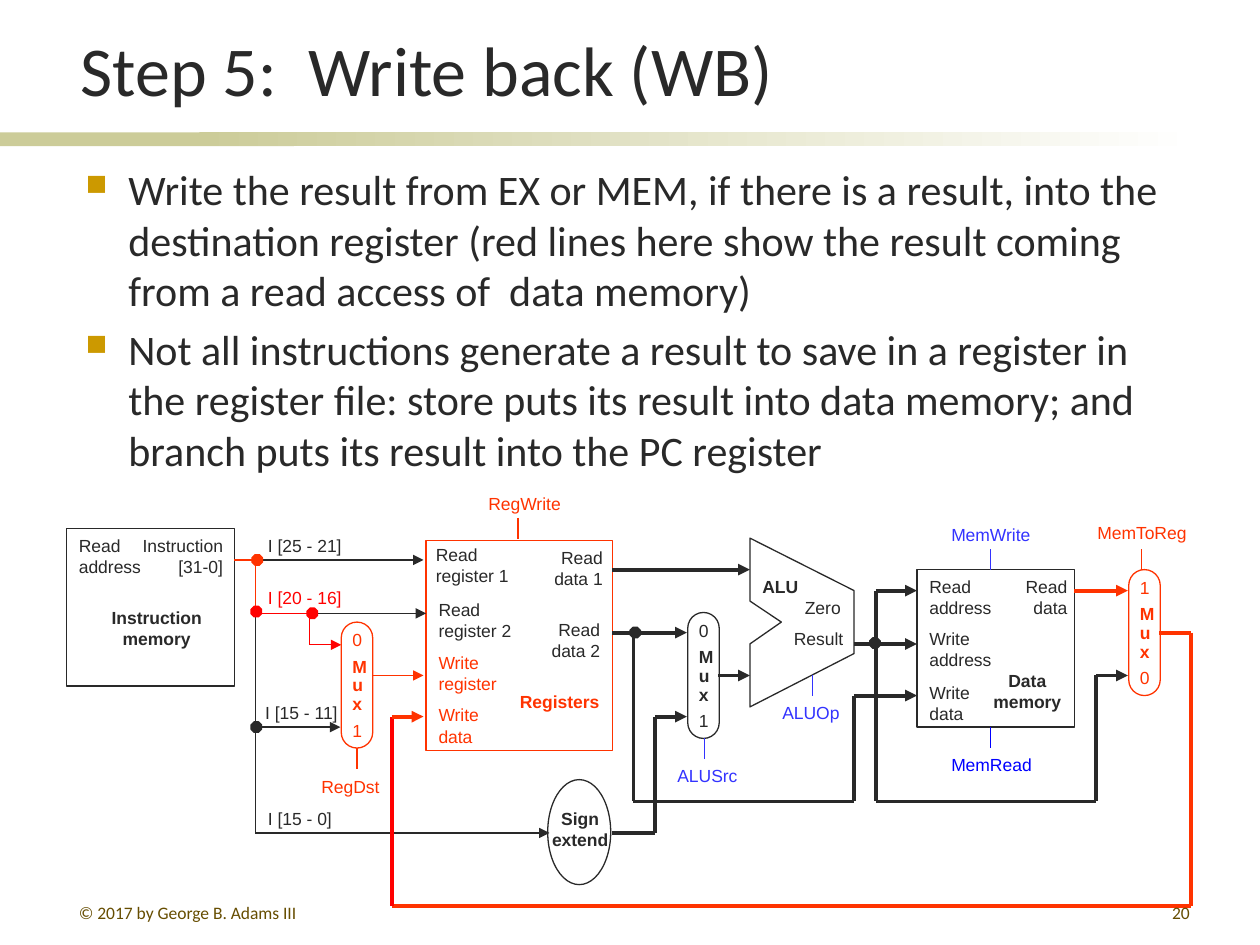
import itertools
import pptx
import pptx.dml.color
import pptx.enum.dml
import pptx.enum.shapes
import pptx.enum.text
import pptx.oxml.ns
import pptx.util
from lxml import etree

Pt = pptx.util.Pt
FORM = pptx.enum.shapes.MSO_SHAPE
SIDE = pptx.enum.text.PP_ALIGN
FIT = pptx.enum.text.MSO_AUTO_SIZE
ANCHOR = pptx.enum.text.MSO_ANCHOR
qn = pptx.oxml.ns.qn

COLORS = {"ink": "292929", "red": "FF3300", "hot": "FF0000", "blue": "3333FF",
          "deep": "0000FF", "sand": "CCCC99", "white": "FFFFFF",
          "gold": "CC9900", "brown": "664D00"}
FONTS = {
    "title": {"name": "Calibri", "size": Pt(40), "bold": False},
    "body": {"name": "Calibri", "size": Pt(24), "bold": False},
    "foot": {"name": "Calibri", "size": Pt(10), "bold": False},
    "label": {"name": "Arial", "size": Pt(10), "bold": False},
    "strong": {"name": "Arial", "size": Pt(10), "bold": True},
}
THIN, THICK = 0.75, 2.25


def shade(name):
    return pptx.dml.color.RGBColor.from_string(COLORS[name])


class Board:
    def __init__(self, deck):
        self.slide = deck.slides.add_slide(deck.slide_layouts[5])
        self.shapes = self.slide.shapes

    def format(self, thing, values):
        for key, value in values.items():
            setattr(thing, key, value)

    def letter(self, para, words, font, color):
        run = para.add_run()
        run.text = words
        self.format(run.font, FONTS[font])
        run.font.color.rgb = shade(color)

    def title(self, words, left, top, width, height):
        shape = self.shapes.title
        self.format(shape, {"left": Pt(left), "top": Pt(top),
                            "width": Pt(width), "height": Pt(height)})
        frame = shape.text_frame
        self.format(frame, {"word_wrap": True, "auto_size": FIT.NONE,
                            "vertical_anchor": ANCHOR.BOTTOM})
        para = frame.paragraphs[0]
        para.alignment = SIDE.LEFT
        self.letter(para, words, "title", "ink")

    def text(self, lines, left, top, width, color="ink", font="label",
             side=SIDE.LEFT, wrap=False, height=None):
        tall = height or 7.2 + 12 * len(lines)
        box = self.shapes.add_textbox(Pt(left), Pt(top), Pt(width), Pt(tall))
        frame = box.text_frame
        self.format(frame, {"word_wrap": wrap,
                            "auto_size": FIT.NONE if wrap else FIT.SHAPE_TO_FIT_TEXT})
        for num, line in enumerate(lines):
            para = frame.add_paragraph() if num else frame.paragraphs[0]
            para.alignment = side
            self.letter(para, line, font, color)
        return frame.paragraphs

    def body(self, lines, left, top, width, height):
        for para in self.text(lines, left, top, width, font="body",
                              wrap=True, height=height):
            para.space_before = Pt(4.8)
            props = para._p.get_or_add_pPr()
            props.set("marL", str(Pt(24.5)))
            props.set("indent", str(Pt(-24.5)))
            tint = etree.SubElement(props, qn("a:buClr"))
            etree.SubElement(tint, qn("a:srgbClr"), val=COLORS["gold"])
            etree.SubElement(props, qn("a:buSzPct"), val="70000")
            etree.SubElement(props, qn("a:buChar"), char="■")

    def box(self, form, left, top, width, height, line="ink", fill=None):
        shape = self.shapes.add_shape(form, Pt(left), Pt(top), Pt(width), Pt(height))
        self.paint(shape, line, fill)
        return shape

    def paint(self, shape, line, fill=None):
        shape.shadow.inherit = False
        if fill:
            shape.fill.solid()
            shape.fill.fore_color.rgb = shade(fill)
        else:
            shape.fill.background()
        if line:
            shape.line.color.rgb = shade(line)
            shape.line.width = Pt(THIN)
        else:
            shape.line.fill.background()

    def fade(self, left, top, width, height, start, end):
        fill = self.box(FORM.RECTANGLE, left, top, width, height, None).fill
        fill.gradient()
        fill.gradient_angle = 0
        for stop, tint, place in zip(fill.gradient_stops, (start, end), (0, 1)):
            stop.color.rgb = shade(tint)
            stop.position = place

    def outline(self, points, color="ink"):
        spots = [(Pt(x), Pt(y)) for x, y in points]
        build = self.shapes.build_freeform(*spots[0])
        build.add_line_segments(spots[1:], close=True)
        self.paint(build.convert_to_shape(), color)

    def wire(self, points, color="ink", weight=THIN, arrow=True):
        for start, end in itertools.pairwise(points):
            link = self.shapes.add_connector(
                pptx.enum.shapes.MSO_CONNECTOR.STRAIGHT,
                *(Pt(value) for value in start + end))
            link.line.color.rgb = shade(color)
            link.line.width = Pt(weight)
            props = link.element.spPr
            if arrow and end == points[-1]:
                etree.SubElement(props.find(qn("a:ln")), qn("a:tailEnd"), type="triangle")
            etree.SubElement(props, qn("a:effectLst"))

    def dot(self, x, y, color):
        self.box(FORM.OCTAGON, x - 3, y - 3, 6, 6, color, color)

    def mux(self, left, top, first, last, color):
        shape = self.box(FORM.ROUNDED_RECTANGLE, left, top, 18, 72, color)
        shape.adjustments[0] = 0.5
        paras = self.text([first, "M", "u", "x", last], left - 0.7, top + 0.6, 24, color)
        for para in paras[1:4]:
            para.runs[0].font.bold = True
        for para in (paras[1], paras[4]):
            para.space_before = Pt(3)
        for para in paras[2:4]:
            para.line_spacing = 0.9

    def tag(self, word, x, y, left, top, width, color):
        self.wire([(x, y), (x, y + 12)], color, arrow=False)
        self.text([word], left, top, width, color)


def main():
    deck = pptx.Presentation()
    deck.slide_width, deck.slide_height = Pt(720), Pt(540)
    board = Board(deck)

    board.box(FORM.RECTANGLE, 0, 75.6, 168, 8, None, "sand")
    board.fade(114, 75.6, 570, 8, "sand", "white")
    board.title("Step 5:  Write back (WB)", 39, 17.3, 648, 49.7)
    board.body([
        "Write the result from EX or MEM, if there is a result, into the destination "
        "register (red lines here show the result coming from a read access of  data memory)",
        "Not all instructions generate a result to save in a register in the register file: "
        "store puts its result into data memory; and branch puts its result into the PC register",
    ], 41.8, 90, 648, 356)

    board.box(FORM.RECTANGLE, 38, 302, 96, 90)
    board.box(FORM.RECTANGLE, 243.5, 309, 106.5, 120, "red")
    board.box(FORM.RECTANGLE, 524, 325.5, 90, 90)
    board.box(FORM.OVAL, 313, 445.5, 36, 60)
    board.outline([(428.5, 307.5), (488, 337.5), (488, 373.5), (428.5, 404),
                   (428.5, 368), (446.5, 355.5), (428.5, 343.5)])

    for points in (
        [(146, 320), (242, 320)],
        [(178, 350.5), (243.5, 350.5)],
        [(146, 415.5), (194.5, 415.5)],
        [(146, 350), (146, 476), (314, 476)],
    ):
        board.wire(points)
    for points in (
        [(350, 325.5), (428.5, 325.5)],
        [(350, 361.5), (392.5, 361.5)],
        [(410.5, 386), (428.5, 386)],
        [(350, 476), (374.5, 476), (374.5, 409.5), (392.5, 409.5)],
        [(362, 361.5), (362, 458), (488, 458), (488, 397.5), (524, 397.5)],
        [(488, 368), (524, 368)],
        [(500.5, 368), (500.5, 337.5), (524, 337.5)],
        [(500.5, 368), (500.5, 458), (626.5, 458), (626.5, 386), (644.5, 386)],
    ):
        board.wire(points, weight=THICK)
    board.wire([(134, 320), (146, 320), (146, 350)], "red", arrow=False)
    board.wire([(147, 350.5), (179, 350.5)], "hot", arrow=False)
    board.wire([(177, 350.5), (177, 368.5), (195, 368.5)], "hot")
    board.wire([(212.5, 386), (242, 386)], "red")
    board.wire([(614, 337.5), (644.5, 337.5)], "red", THICK)
    board.wire([(662.5, 361.5), (680.5, 361.5), (680.5, 517.5), (224, 517.5)],
               "red", THICK, False)
    board.wire([(224, 517.5), (224, 409.5)], "hot", THICK, False)
    board.wire([(224, 409.5), (242, 409.5)], "red", THICK)

    for spot in ((147, 320, "red"), (146.5, 349.5, "hot"), (178.5, 350.5, "hot"),
                 (146.5, 415.5, "ink"), (363, 361.5, "ink"), (500, 367.5, "ink")):
        board.dot(*spot)
    for switch in ((195, 355.5, "0", "1", "red"), (393, 350, "0", "1", "ink"),
                   (645, 325.5, "1", "0", "red")):
        board.mux(*switch)
    for tag in (
        ("RegWrite", 296, 296, 272, 278, 56, "red"),
        ("RegDst", 204, 427.5, 176.5, 440, 49, "red"),
        ("ALUSrc", 402.5, 422, 380, 433.5, 50, "blue"),
        ("ALUOp", 464.5, 386, 440, 397.5, 47.5, "blue"),
        ("MemWrite", 566, 314, 536.5, 296, 60.5, "blue"),
        ("MemRead", 566, 415.5, 536.5, 427.5, 61, "deep"),
        ("MemToReg", 652.5, 314, 620, 294.5, 66, "red"),
    ):
        board.tag(*tag)

    for label in (
        (["Read", "address"], 38, 302, 50.5),
        (["I [25 - 21]"], 146, 302, 57),
        (["I [20 - 16]"], 146, 332, 57, "hot"),
        (["I [15 - 11]"], 144.5, 397.5, 56),
        (["I [15 - 0]"], 146, 458, 52),
        (["Read", "register 1"], 242, 307.5, 57),
        (["Read", "register 2"], 243.5, 339, 57),
        (["Write", "register"], 243.5, 369, 48, "red"),
        (["Write", "data"], 243.5, 399, 38, "red"),
        (["Registers"], 290, 391.5, 60.5, "red", "strong"),
        (["ALU"], 428.5, 325.5, 35, "ink", "strong"),
        (["Read", "address"], 524, 325.5, 50.5),
        (["Write", "address"], 524, 355.5, 50.5),
        (["Write", "data"], 524, 386, 38),
    ):
        board.text(*label)
    for label in ((["Instruction", "[31-0]"], 72.5, 302, 62),
                  (["Read", "data 1"], 309, 309, 42.5),
                  (["Read", "data 2"], 307.5, 350, 42.5),
                  (["Zero"], 452, 337.5, 35.5),
                  (["Result"], 445, 355.5, 44),
                  (["Read", "data"], 577.5, 325.5, 39.5)):
        board.text(*label, side=SIDE.RIGHT)
    for label in ((["Instruction", "memory"], 56, 343.5, 67),
                  (["Sign", "extend"], 308, 458, 47),
                  (["Data", "memory"], 560, 379.5, 54)):
        board.text(*label, font="strong", side=SIDE.CENTER)

    foot = {"color": "brown", "font": "foot", "wrap": True, "height": 15}
    board.text(["© 2017 by George B. Adams III"], 38, 512, 156, **foot)
    board.text(["20"], 537, 512, 150, side=SIDE.RIGHT, **foot)
    deck.save("out.pptx")


if __name__ == "__main__":
    main()
